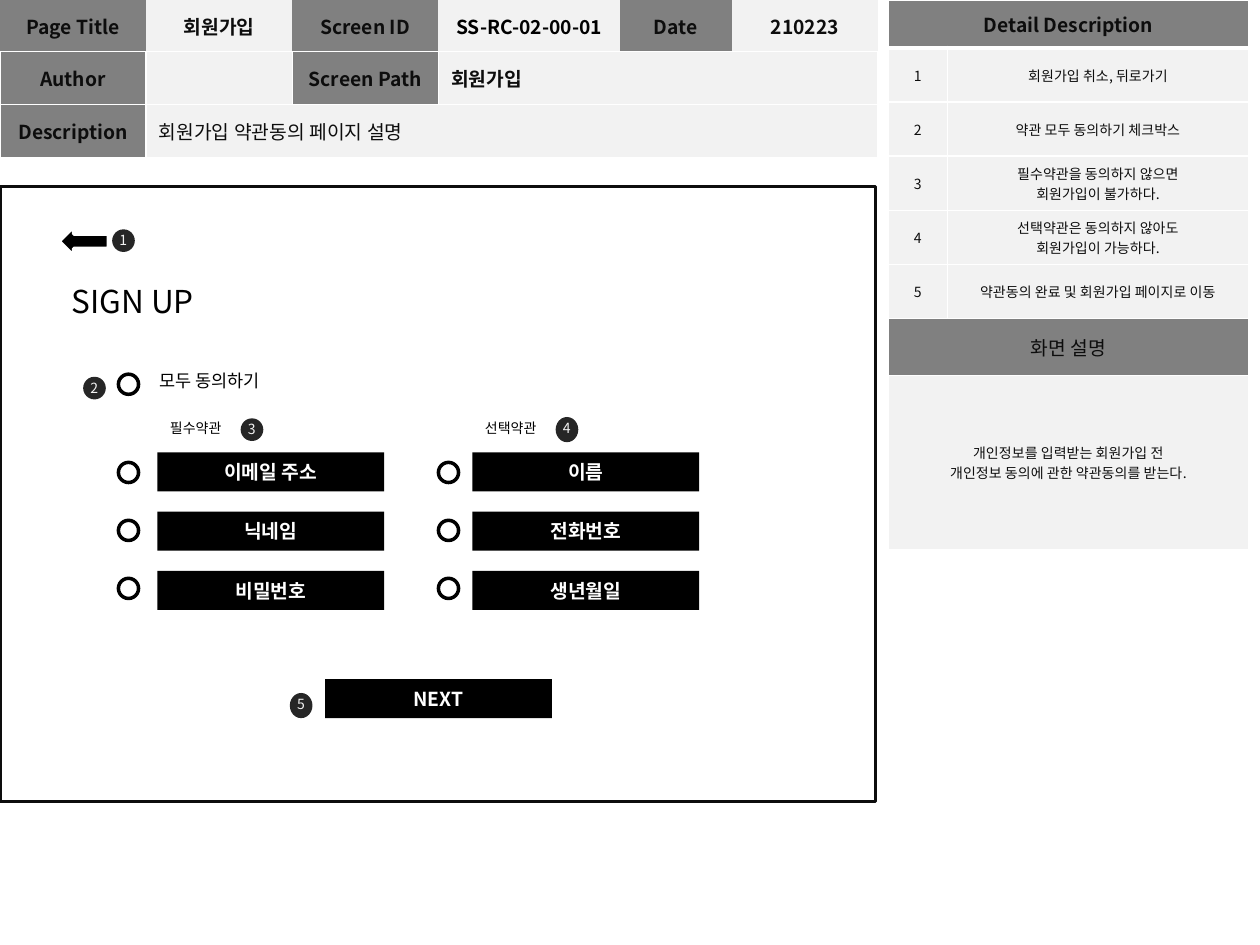
import pptx
import pptx.dml.color
import pptx.enum.shapes
import pptx.enum.text
import pptx.oxml
import pptx.oxml.ns
import pptx.util
from lxml import etree

Inches = pptx.util.Inches
Pt = pptx.util.Pt
Shape = pptx.enum.shapes.MSO_SHAPE
Align = pptx.enum.text.PP_ALIGN
Anchor = pptx.enum.text.MSO_ANCHOR
Fit = pptx.enum.text.MSO_AUTO_SIZE
qn = pptx.oxml.ns.qn

FONT = "Noto Sans CJK KR"
BLACK, INK, DARK = "000000", "0D0D0D", "262626"
GRAY, PALE, WHITE = "808080", "F2F2F2", "FFFFFF"


def color(text):
    return pptx.dml.color.RGBColor.from_string(text)


def inches(*values):
    return [Inches(v) for v in values]


class Page:
    def __init__(self, deck):
        self.shapes = deck.slides.add_slide(deck.slide_layouts[6]).shapes

    def label(self, frame, text, size, ink, bold=False, align=Align.LEFT):
        for i, line in enumerate(text.split("\n")):
            para = frame.paragraphs[0] if i == 0 else frame.add_paragraph()
            para.alignment = align
            run = para.add_run()
            run.text = line
            look = {"name": FONT, "size": Pt(size), "bold": bold}
            for key, value in look.items():
                setattr(run.font, key, value)
            run.font.color.rgb = color(ink)
            # Korean letters take the East Asian font
            etree.SubElement(run.font._element, qn("a:ea"), typeface=FONT)

    def text(self, text, x, y, w, h, size, ink=BLACK, wrap=True, home=None):
        box = (home or self.shapes).add_textbox(*inches(x, y, w, h))
        box.text_frame.word_wrap = wrap
        box.text_frame.auto_size = Fit.SHAPE_TO_FIT_TEXT
        self.label(box.text_frame, text, size, ink)

    def shape(self, kind, x, y, w, h, fill=None, line=None, home=None):
        item = (home or self.shapes).add_shape(kind, *inches(x, y, w, h))
        item.shadow.inherit = False
        if fill:
            item.fill.solid()
            item.fill.fore_color.rgb = color(fill)
        else:
            item.fill.background()
        if line:
            item.line.color.rgb = color(line)
            item.line.width = Pt(2)
        else:
            item.line.fill.background()
        return item

    def button(self, text, x, y):
        item = self.shape(Shape.RECTANGLE, x, y, 1.8, 0.31, BLACK)
        item.text_frame.vertical_anchor = Anchor.MIDDLE
        self.label(item.text_frame, text, 11, WHITE, True, Align.CENTER)

    def radio(self, x, y):
        self.shape(Shape.OVAL, x, y, 0.16, 0.16, WHITE, BLACK)

    def badge(self, mark, x, y, h=0.18):
        home = self.shapes.add_group_shape().shapes
        self.shape(Shape.OVAL, x, y, 0.18, h, DARK, home=home)
        self.text(mark, x - 0.04, y - 0.03, 0.26, 0.24, 8, PALE, False, home)

    def table(self, x, y, cols, rows):
        grid = self.shapes.add_table(
            len(rows), len(cols), *inches(x, y, sum(cols), sum(rows))).table
        grid.first_row = grid.horz_banding = False
        for col, w in zip(grid.columns, cols):
            col.width = Inches(w)
        for row, h in zip(grid.rows, rows):
            row.height = Inches(h)
        return grid

    def cell(self, cell, text, fill, size=11, ink=INK, bold=False,
             align=Align.CENTER, edges=None):
        edges = edges or {"L": 1, "R": 1, "T": 1, "B": 1}
        props = cell._tc.get_or_add_tcPr()
        for side in "LRTB":
            width = edges.get(side, 0)
            edge = etree.SubElement(props, qn("a:ln" + side), w=str(Pt(width)))
            if width:
                paint = etree.SubElement(edge, qn("a:solidFill"))
                etree.SubElement(paint, qn("a:srgbClr"), val=WHITE)
            else:
                etree.SubElement(edge, qn("a:noFill"))
        cell.fill.solid()
        cell.fill.fore_color.rgb = color(fill)
        cell.vertical_anchor = Anchor.MIDDLE
        self.label(cell.text_frame, text, size, ink, bold, align)


def header(page):
    grid = page.table(0, 0, [1.16, 1.16, 1.16, 1.44, 0.89, 1.16],
                      [0.41, 0.42, 0.42])
    grid.cell(1, 3).merge(grid.cell(1, 5))
    grid.cell(2, 1).merge(grid.cell(2, 5))
    rows = [
        ["Page Title", "회원가입", "Screen ID", "SS-RC-02-00-01", "Date", "210223"],
        ["Author", "", "Screen Path", "회원가입"],
        ["Description", "회원가입 약관동의 페이지 설명"],
    ]
    for r, row in enumerate(rows):
        for c, text in enumerate(row):
            cell = grid.cell(r, c)
            page.cell(cell, text, PALE if c % 2 else GRAY,
                      ink=BLACK if (r, c) == (0, 3) else INK,
                      bold=(r, c) != (2, 1),
                      align=Align.LEFT if cell.is_merge_origin else Align.CENTER,
                      edges={"B": 1} if r == 0 else None)


def details(page):
    notes = [
        "회원가입 취소, 뒤로가기",
        "약관 모두 동의하기 체크박스",
        "필수약관을 동의하지 않으면\n회원가입이 불가하다.",
        "선택약관은 동의하지 않아도\n회원가입이 가능하다.",
        "약관동의 완료 및 회원가입 페이지로 이동",
    ]
    grid = page.table(7.05, 0, [0.47, 2.39],
                      [0.38] + [0.43] * len(notes) + [0.45, 1.38])
    for r in (0, 6, 7):
        grid.cell(r, 0).merge(grid.cell(r, 1))
    page.cell(grid.cell(0, 0), "Detail Description", GRAY, bold=True,
              edges={"L": 1, "R": 1, "T": 1, "B": 3})
    for r, note in enumerate(notes, 1):
        page.cell(grid.cell(r, 0), str(r), PALE, 8)
        page.cell(grid.cell(r, 1), note, PALE, 8)
    page.cell(grid.cell(6, 0), "화면 설명", GRAY)
    page.cell(grid.cell(7, 0), "개인정보를 입력받는 회원가입 전\n"
              "개인정보 동의에 관한 약관동의를 받는다.", PALE, 8)


def screen(page):
    page.shape(Shape.RECTANGLE, 0, 1.48, 6.95, 4.88, line=INK)

    # Back arrow and heading
    page.shape(Shape.LEFT_ARROW, 0.47, 1.8, 0.39, 0.23, BLACK, WHITE)
    page.text("SIGN UP", 0.47, 2.19, 1.48, 0.4, 18)

    # Agree to all
    page.radio(0.94, 2.97)
    page.text("모두 동의하기", 1.17, 2.89, 1.56, 0.27, 10)

    # Required and optional terms
    groups = [
        ("필수약관", 1.25, 0.94, ["이메일 주소", "닉네임", "비밀번호"]),
        ("선택약관", 3.75, 3.48, ["이름", "전화번호", "생년월일"]),
    ]
    for title, x, dot, names in groups:
        page.text(title, x, 3.28, 1.48, 0.24, 8)
        for i, name in enumerate(names):
            page.button(name, x, 3.59 + 0.47 * i)
            page.radio(dot, 3.67 + 0.46 * i)
    page.button("NEXT", 2.58, 5.39)

    # Numbered badges
    page.badge("1", 0.89, 1.82)
    page.badge("2", 0.66, 2.99)
    page.badge("3", 1.91, 3.32)
    page.badge("4", 4.41, 3.31, 0.2)
    page.badge("5", 2.3, 5.5, 0.2)


def main():
    deck = pptx.Presentation()
    deck.slide_width, deck.slide_height = inches(10, 7.5)
    page = Page(deck)
    header(page)
    details(page)
    screen(page)
    deck.save("out.pptx")


if __name__ == "__main__":
    main()
